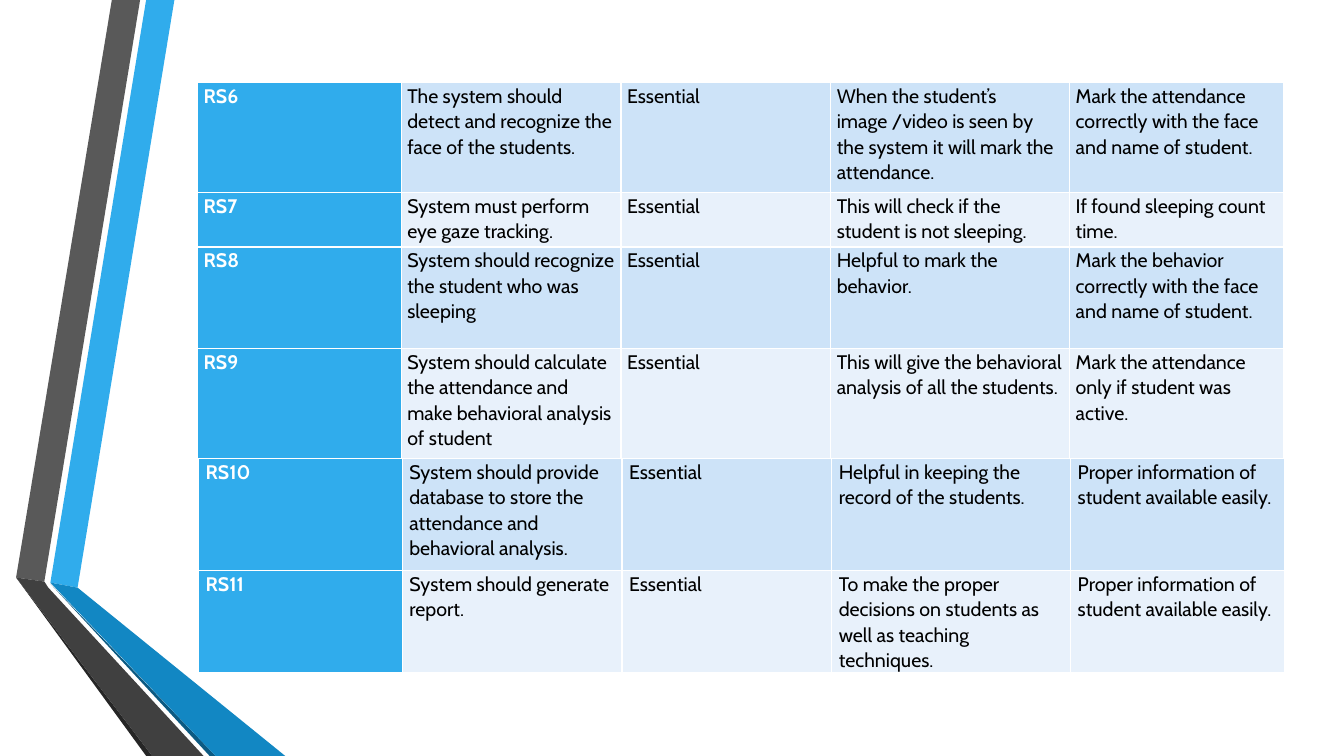
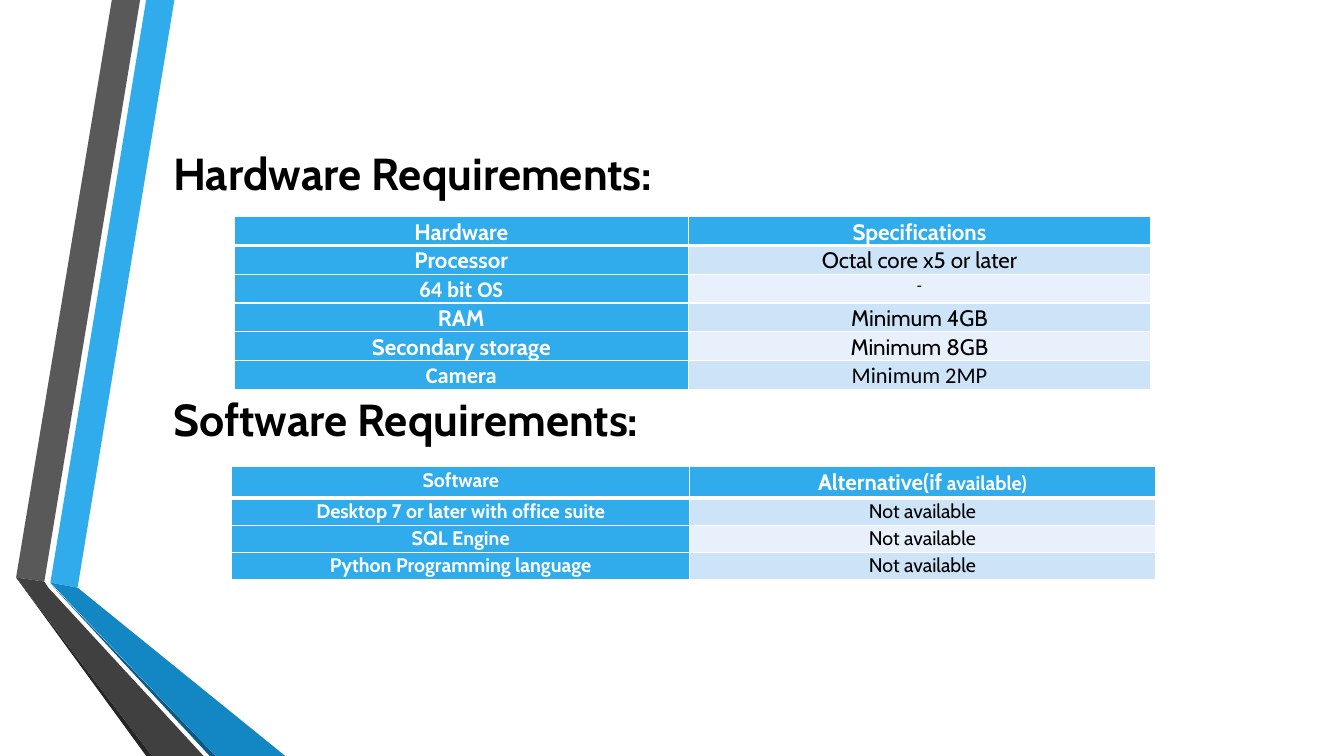
"""Build two requirement slides: system requirements, then hardware and software."""
from dataclasses import dataclass

from lxml import etree
from pptx import Presentation
from pptx import util as u
from pptx.dml.color import RGBColor
from pptx.enum import text
from pptx.oxml import ns


@dataclass(frozen=True)
class Theme:
    font: str = "Cabin"
    alt_font: str = "Calibri"
    black: str = "000000"
    white: str = "FFFFFF"
    blue: str = "30ACEC"
    mid_blue: str = "1287C3"
    dark_blue: str = "0C5A82"
    grey: str = "595959"
    dark_grey: str = "404040"
    near_black: str = "262626"
    bands: tuple = ("CDE3F8", "E8F1FB")
    title: int = 32
    large: int = 16
    body: int = 14
    small: int = 12
    spacing: float = 1.07


T = Theme()


def write(p, words, size=T.body, font=T.font, color=T.black, bold=False,
          align=text.PP_ALIGN.LEFT, spacing=T.spacing, after=0):
    p.alignment, p.line_spacing, p.space_after = align, spacing, u.Pt(after)
    r = p.add_run()
    r.text = words
    r.font.size, r.font.name, r.font.bold = u.Pt(size), font, bold
    r.font.color.rgb = RGBColor.from_string(color)


def add_grid(s, left, top, widths, heights, rows, header=False, inset=0.07,
             special=None, **style):
    frame = s.shapes.add_table(len(rows), len(widths), u.Inches(left), u.Inches(top),
                               u.Inches(sum(widths)), u.Inches(sum(heights)))
    table = frame.table
    table.first_row = header
    table.first_col = True
    table.horz_banding = False
    for column, width in zip(table.columns, widths):
        column.width = u.Inches(width)
    for i, (row, height) in enumerate(zip(rows, heights)):
        table.rows[i].height = u.Inches(height)
        for j, words in enumerate(row):
            cell = table.cell(i, j)
            cell.margin_left = cell.margin_right = u.Inches(inset)
            cell.margin_top = cell.margin_bottom = 0
            strong = j == 0 or (header and i == 0)
            tc_pr = cell._tc.get_or_add_tcPr()
            for side in "LRTB":
                thick = header and (i, side) in ((0, "B"), (1, "T"))
                ln = etree.SubElement(tc_pr, ns.qn(f"a:ln{side}"), w=str(u.Pt(3 if thick else 1)))
                fill = etree.SubElement(ln, ns.qn("a:solidFill"))
                etree.SubElement(fill, ns.qn("a:srgbClr"), val=T.white)
            cell.fill.solid()
            band = T.bands[(i - header) % 2]
            cell.fill.fore_color.rgb = RGBColor.from_string(T.blue if strong else band)
            fmt = {"color": T.white if strong else T.black, "bold": strong, **style}
            fmt.update((special or {}).get((i, j), {}))
            write(cell.text_frame.paragraphs[0], words, **fmt)
    return table


prs = Presentation()
prs.slide_width, prs.slide_height = u.Inches(13.33), u.Inches(7.5)
blank = prs.slide_layouts[6]
s = prs.slides.add_slide(blank)

ribbons = [
    (T.blue, [(0.5, 5.78), (0.77, 5.83), (1.73, 0), (1.45, 0)]),
    (T.grey, [(1.39, 0), (1.11, 0), (0.16, 5.73), (0.44, 5.77)]),
    (T.near_black, [(0.16, 5.73), (1.45, 7.5), (1.51, 7.5)]),
    (T.dark_blue, [(0.5, 5.79), (2.08, 7.5), (2.14, 7.5)]),
    (T.mid_blue, [(0.5, 5.78), (2.14, 7.5), (2.83, 7.5), (0.77, 5.83)]),
    (T.dark_grey, [(2.02, 7.5), (0.48, 5.83), (0.44, 5.77), (0.16, 5.73), (1.51, 7.5)]),
]
group = s.shapes.add_group_shape()
for color, points in ribbons:
    corners = [(u.Inches(x), u.Inches(y)) for x, y in points]
    outline = group.shapes.build_freeform(*corners[0])
    outline.add_line_segments(corners[1:], close=True)
    sp = outline.convert_to_shape()
    sp.shadow.inherit = False
    sp.fill.solid()
    sp.fill.fore_color.rgb = RGBColor.from_string(color)
    sp.line.fill.background()
blank.shapes.element.append(group.element)

system_widths = [2.02, 2.18, 2.08, 2.37, 2.12]
add_grid(s, 1.96, 0.82, system_widths, [1.09, 0.54, 1.01, 1.09], [
    ["RS6", "The system should detect and recognize the face of the students.", "Essential",
     "When the student’s image /video is seen by the system it will mark the attendance.",
     "Mark the attendance correctly with the face and name of student."],
    ["RS7", "System must perform eye gaze tracking.", "Essential",
     "This will check if the student is not sleeping.", "If found sleeping count time."],
    ["RS8", "System should recognize the student who was sleeping", "Essential",
     "Helpful to mark the behavior.",
     "Mark the behavior correctly with the face and name of student."],
    ["RS9", "System should calculate the attendance and make behavioral analysis of student",
     "Essential", "This will give the behavioral analysis of all the students.",
     "Mark the attendance only if student was active."],
], inset=0.06)
add_grid(s, 1.97, 4.55, system_widths, [1.11, 1.01], [
    ["RS10", "System should provide database to store the attendance and behavioral analysis.",
     "Essential", "Helpful in keeping the record of the students.",
     "Proper information of student available easily."],
    ["RS11", "System should generate report.", "Essential",
     "To make the proper decisions on students as well as teaching techniques.",
     "Proper information of student available easily."],
])

s = prs.slides.add_slide(blank)
headings = [
    ("Hardware Requirements:", (1.62, 0.75, 10.96, 1.92), text.MSO_ANCHOR.MIDDLE, 1.0, 0),
    ("Software Requirements:", (1.62, 3.8, 6.26, 0.68), text.MSO_ANCHOR.TOP, T.spacing, 10),
]
for words, box, anchor, spacing, after in headings:
    tf = s.shapes.add_textbox(*map(u.Inches, box)).text_frame
    tf.word_wrap = True
    tf.vertical_anchor = anchor
    write(tf.paragraphs[0], words, size=T.title, bold=True, spacing=spacing, after=after)

center = text.PP_ALIGN.CENTER
alt = {"font": T.alt_font}
add_grid(s, 2.32, 2.15, [4.51, 4.58], [0.28] * 6, [
    ["Hardware", "Specifications"],
    ["Processor", "Octal core x5 or later"],
    ["64 bit OS", "-"],
    ["RAM", "Minimum 4GB"],
    ["Secondary storage", "Minimum 8GB"],
    ["Camera", "Minimum 2MP"],
], header=True, size=T.large, align=center,
    special={(2, 0): alt, (2, 1): {**alt, "size": T.small}, (5, 0): alt, (5, 1): alt})

software = add_grid(s, 2.3, 4.63, [4.54, 4.62], [0.31] + [0.27] * 3, [
    ["Software", "Alternative(if"],
    ["Desktop 7 or later with office suite", "Not available"],
    ["SQL Engine", "Not available"],
    ["Python Programming language", "Not available"],
], header=True, align=center, special={(0, 1): {"size": T.large}})
write(software.cell(0, 1).text_frame.paragraphs[0], " available)",
      color=T.white, bold=True, align=center)

prs.save("out.pptx")
